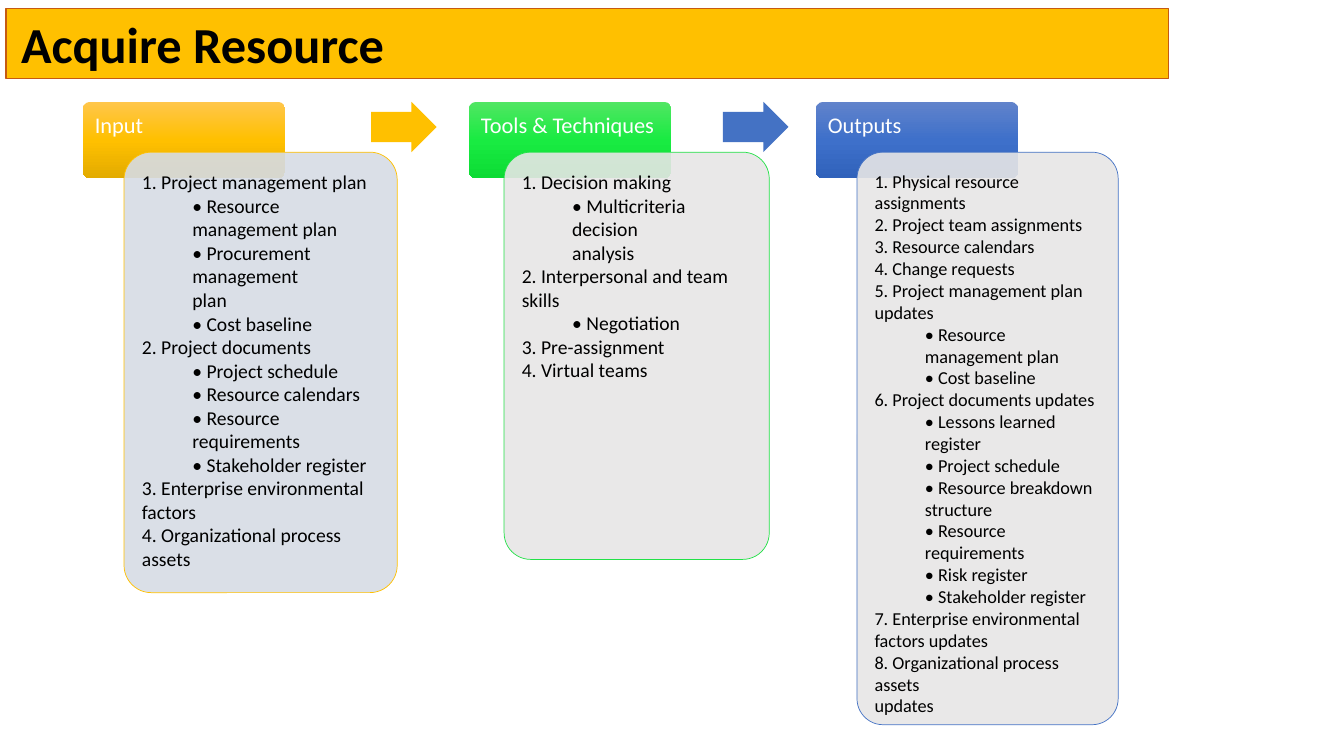
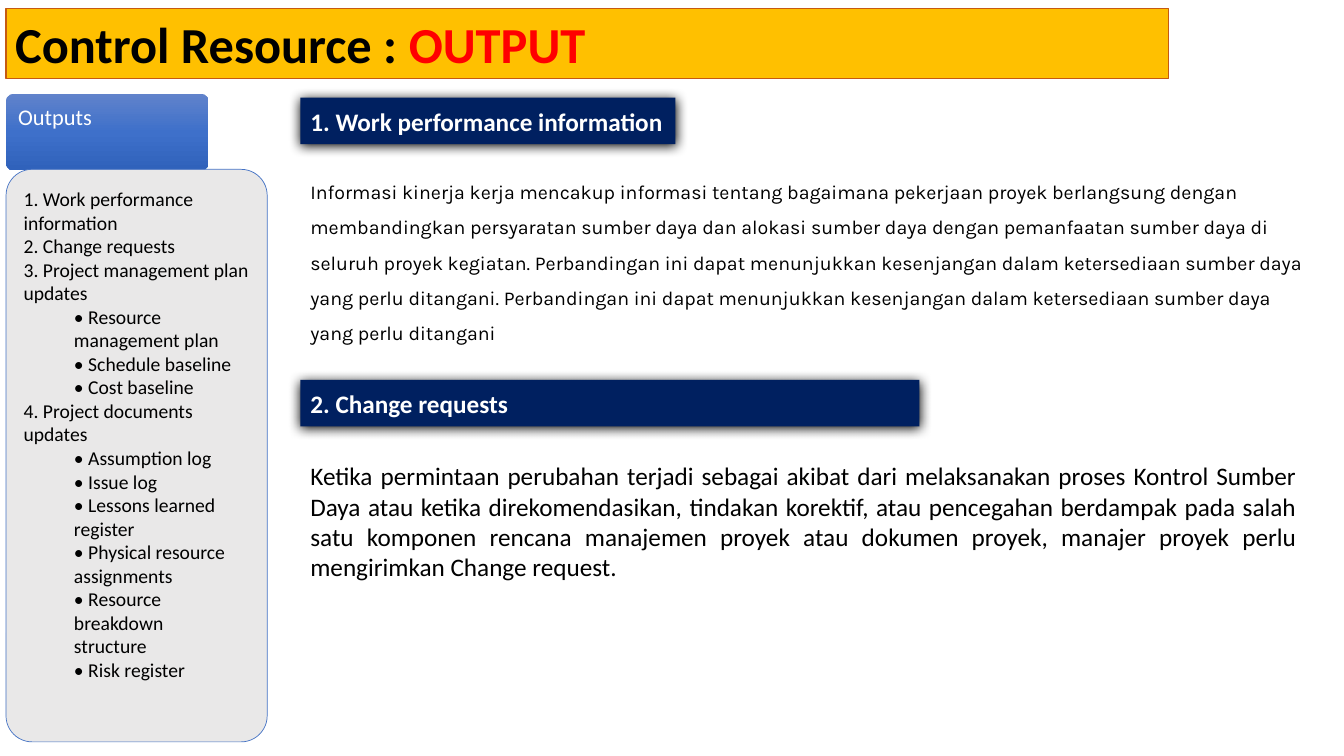
import pptx
import pptx.util
import pptx.dml.color
import pptx.enum.shapes
import pptx.enum.text
import pptx.oxml.ns
from lxml import etree

Inches, Pt = pptx.util.Inches, pptx.util.Pt
SHAPE = pptx.enum.shapes.MSO_SHAPE
ALIGN = pptx.enum.text.PP_ALIGN
ANCHOR = pptx.enum.text.MSO_ANCHOR
qn = pptx.oxml.ns.qn

# Content: "•" opens a sub-item, "\v" breaks a line inside an item
ACQUIRE_TITLE = [("Acquire Resource", "000000")]
CONTROL_TITLE = [("Control Resource : ", "000000"), ("OUTPUT", "FF0000")]

INPUT_ITEMS = [
    "1. Project management plan",
    "• Resource management plan",
    "• Procurement management\vplan",
    "• Cost baseline",
    "2. Project documents",
    "• Project schedule",
    "• Resource calendars",
    "• Resource requirements",
    "• Stakeholder register",
    "3. Enterprise environmental\vfactors",
    "4. Organizational process assets",
]
TOOL_ITEMS = [
    "1. Decision making",
    "• Multicriteria decision\vanalysis",
    "2. Interpersonal and team skills",
    "• Negotiation",
    "3. Pre-assignment",
    "4. Virtual teams",
]
ACQUIRE_OUTPUT_ITEMS = [
    "1. Physical resource\vassignments",
    "2. Project team assignments",
    "3. Resource calendars",
    "4. Change requests",
    "5. Project management plan\vupdates",
    "• Resource management plan",
    "• Cost baseline",
    "6. Project documents updates",
    "• Lessons learned register",
    "• Project schedule",
    "• Resource breakdown\vstructure",
    "• Resource requirements",
    "• Risk register",
    "• Stakeholder register",
    "7. Enterprise environmental\vfactors updates",
    "8. Organizational process assets\vupdates",
]
CONTROL_OUTPUT_ITEMS = [
    "1. Work performance\vinformation",
    "2. Change requests",
    "3. Project management plan\vupdates",
    "• Resource management plan",
    "• Schedule baseline",
    "• Cost baseline",
    "4. Project documents updates",
    "• Assumption log",
    "• Issue log",
    "• Lessons learned register",
    "• Physical resource\vassignments",
    "• Resource breakdown\vstructure",
    "• Risk register",
]
WORK_PERFORMANCE = (
    "Informasi kinerja kerja mencakup informasi tentang bagaimana pekerjaan proyek "
    "berlangsung dengan membandingkan persyaratan sumber daya dan alokasi sumber daya "
    "dengan pemanfaatan sumber daya di seluruh proyek kegiatan. Perbandingan ini dapat "
    "menunjukkan kesenjangan dalam ketersediaan sumber daya yang perlu ditangani. "
    "Perbandingan ini dapat menunjukkan kesenjangan dalam ketersediaan sumber daya yang "
    "perlu ditangani")
CHANGE_REQUESTS = (
    "Ketika permintaan perubahan terjadi sebagai akibat dari melaksanakan proses Kontrol "
    "Sumber Daya atau ketika direkomendasikan, tindakan korektif, atau pencegahan berdampak "
    "pada salah satu komponen rencana manajemen proyek atau dokumen proyek, manajer proyek "
    "perlu mengirimkan Change request.")

# Colours: header gradient (top, middle, bottom), panel fill, panel line
AMBER = (("FFC64B", "FFC000", "E3AB00"), "D6DCE5", "FFC000")
GREEN = (("51E663", "19EB42", "0CDB34"), "E7E6E6", "23E148")
BLUE = (("6183CB", "3E70CA", "3062BB"), "E7E6E6", "4472C4")

# Acquire Resource: name, palette, header left, panel (left, width, height), size, items
STAGES = [
    ("Input", AMBER, 0.82, (1.23, 2.71, 4.37), 14, INPUT_ITEMS),
    ("Tools & Techniques", GREEN, 4.65, (5, 2.63, 4.04), 14, TOOL_ITEMS),
    ("Outputs", BLUE, 8.09, (8.5, 2.59, 5.68), 13, ACQUIRE_OUTPUT_ITEMS),
]
STAGE_TOP, PANEL_TOP = 1.01, 1.51
ARROWS = [(3.68, "FFC000"), (7.17, "4472C4")]

# Control Resource: heading, top, bar width
DETAIL_LEFT = 2.98
HEADINGS = [("1. Work performance information", 0.97, 3.72),
            ("2. Change requests", 3.77, 6.14)]


def rgb(hex_colour):
    return pptx.dml.color.RGBColor.from_string(hex_colour)


def add_box(slide, kind, box, fill, line=None, width=0.75):
    shape = slide.shapes.add_shape(kind, *map(Inches, box))
    shape.shadow.inherit = False
    shape.fill.solid()
    shape.fill.fore_color.rgb = rgb(fill)
    if line:
        shape.line.color.rgb = rgb(line)
        shape.line.width = Pt(width)
    else:
        shape.line.fill.background()
    return shape


def set_frame(shape, insets=(0.1, 0.05, 0.1, 0.05), anchor=ANCHOR.TOP):
    frame = shape.text_frame
    frame.word_wrap = True
    frame.vertical_anchor = anchor
    (frame.margin_left, frame.margin_top,
     frame.margin_right, frame.margin_bottom) = map(Inches, insets)
    return frame


def style(paragraph, size, colour="000000", bold=False, face="Calibri", align=ALIGN.LEFT):
    paragraph.alignment = align
    font = paragraph.font
    font.name, font.size, font.bold = face, Pt(size), bold
    font.color.rgb = rgb(colour)


def add_title(slide, parts, inset):
    band = add_box(slide, SHAPE.RECTANGLE, (0.06, 0.08, 11.53, 0.7), "FFC000", "C55A11")
    paragraph = set_frame(band, (inset, 0.05, 0.09, 0.05)).paragraphs[0]
    style(paragraph, 36, bold=True)
    for text, colour in parts:
        run = paragraph.add_run()
        run.text = text
        run.font.color.rgb = rgb(colour)


def shade(shape, colours):
    """Fill from top to bottom with evenly spaced colours."""
    shape.fill.gradient()
    shape.fill.gradient_angle = 270
    stops = shape.element.spPr.find(".//" + qn("a:gsLst"))
    for stop in list(stops):
        stops.remove(stop)
    for i, colour in enumerate(colours):
        position = str(100000 * i // (len(colours) - 1))
        stop = etree.SubElement(stops, qn("a:gs"), pos=position)
        etree.SubElement(stop, qn("a:srgbClr"), val=colour)


def add_stage(slide, name, palette, header_at, panel_box, size, items):
    gradient, panel_fill, panel_line = palette

    # Header
    header = add_box(slide, SHAPE.ROUNDED_RECTANGLE, (*header_at, 2.01, 0.76), gradient[1])
    header.adjustments[0] = 0.1
    shade(header, gradient)
    paragraph = set_frame(header, (0.1, 0.1, 0.1, 0.3)).paragraphs[0]
    paragraph.text = name
    paragraph.line_spacing = 0.9
    style(paragraph, 16, "FFFFFF")

    # Panel, slightly see-through
    panel = add_box(slide, SHAPE.ROUNDED_RECTANGLE, panel_box, panel_fill, panel_line, 0.5)
    panel.adjustments[0] = 0.1
    colour = panel.element.spPr.find(qn("a:solidFill")).find(qn("a:srgbClr"))
    etree.SubElement(colour, qn("a:alpha"), val="90000")
    frame = set_frame(panel, (0.1,) * 4)
    for i, item in enumerate(items):
        paragraph = frame.add_paragraph() if i else frame.paragraphs[0]
        paragraph.text = item
        if item.startswith("•"):
            paragraph.level = 1
            properties = paragraph._p.get_or_add_pPr()
            properties.set("marL", str(Inches(0.5)))
            properties.set("indent", "0")
        style(paragraph, size)


def add_heading(slide, text, top, width):
    bar = add_box(slide, SHAPE.RECTANGLE, (DETAIL_LEFT, top, width, 0.46), "002060")
    effects = bar.element.spPr.find(qn("a:effectLst"))
    shadow = etree.SubElement(effects, qn("a:outerShdw"), blurRad=str(Pt(8.5)),
                              dist=str(Pt(1)), dir="5400000", rotWithShape="0")
    etree.SubElement(shadow, qn("a:srgbClr"), val="000000")
    paragraph = set_frame(bar, anchor=ANCHOR.MIDDLE).paragraphs[0]
    paragraph.text = text
    style(paragraph, 18, "FFFFFF", bold=True)


def add_body(slide, text, top, width, height, size, spacing=1.0, **look):
    box = slide.shapes.add_textbox(*map(Inches, (DETAIL_LEFT, top, width, height)))
    paragraph = set_frame(box).paragraphs[0]
    paragraph.text = text
    paragraph.line_spacing = spacing
    style(paragraph, size, **look)


def build_acquire(slide):
    add_title(slide, ACQUIRE_TITLE, 0.15)
    for name, palette, left, (panel_left, width, height), size, items in STAGES:
        add_stage(slide, name, palette, (left, STAGE_TOP),
                  (panel_left, PANEL_TOP, width, height), size, items)
    for left, colour in ARROWS:
        arrow = add_box(slide, SHAPE.RIGHT_ARROW, (left, STAGE_TOP, 0.65, 0.5), colour)
        arrow.adjustments[0] = 0.6


def build_control(slide):
    add_title(slide, CONTROL_TITLE, 0.09)
    add_stage(slide, "Outputs", BLUE, (0.06, 0.93), (0.06, 1.68, 2.59, 5.68),
              14, CONTROL_OUTPUT_ITEMS)
    for heading in HEADINGS:
        add_heading(slide, *heading)
    add_body(slide, WORK_PERFORMANCE, 1.62, 10.14, 1.87, 14, spacing=1.5, face="Karla")
    add_body(slide, CHANGE_REQUESTS, 4.52, 9.98, 1.31, 18, align=ALIGN.JUSTIFY)


def main():
    deck = pptx.Presentation()
    deck.slide_width, deck.slide_height = Inches(13.33), Inches(7.5)
    for build in (build_acquire, build_control):
        build(deck.slides.add_slide(deck.slide_layouts[6]))
    deck.save("out.pptx")


if __name__ == "__main__":
    main()
